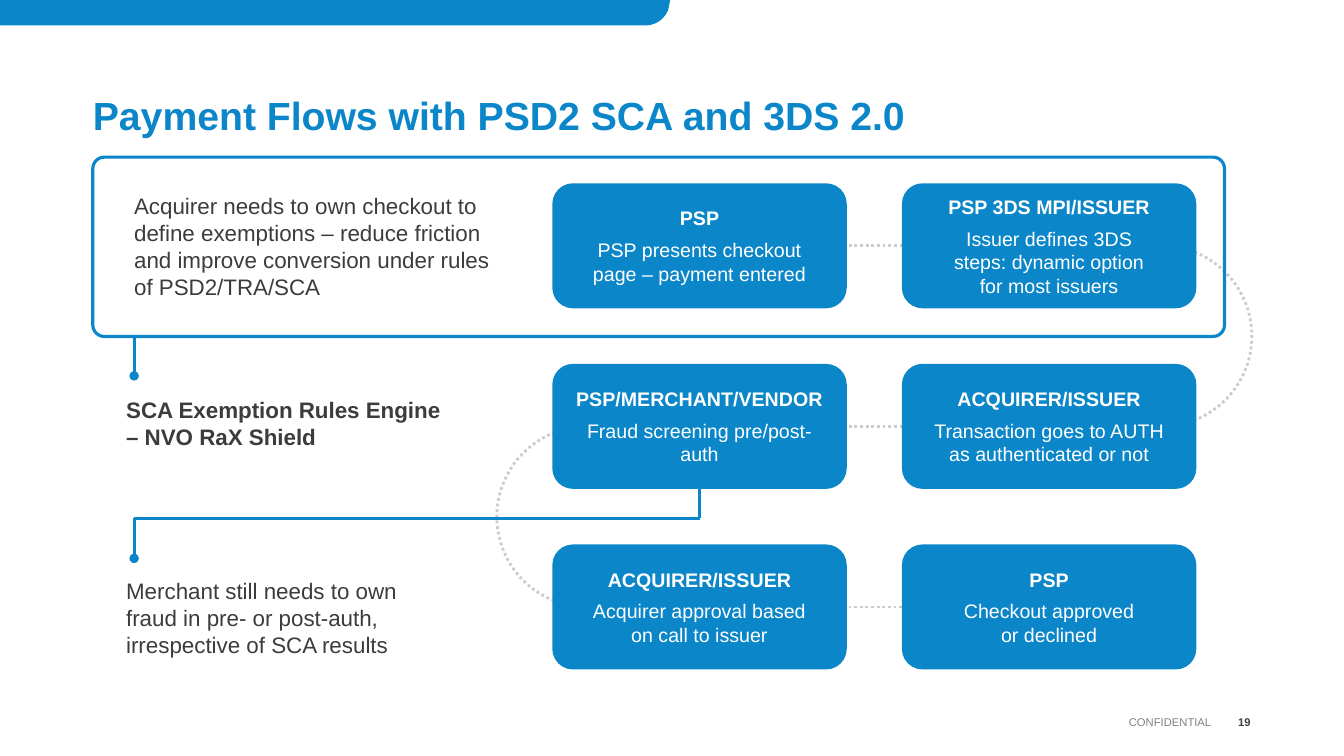
from dataclasses import dataclass

from lxml import etree
from pptx import Presentation
from pptx import util as u
from pptx.dml.color import RGBColor
from pptx.enum import dml, shapes, text
from pptx.oxml.ns import qn


@dataclass
class Theme:
    font: str = "Arial"
    blue: str = "0A86C9"
    ink: str = "3C3C3C"
    dots: str = "CCCCCC"
    white: str = "FFFFFF"
    page: str = "404040"
    note: str = "808080"
    head: int = 28
    body: int = 16
    card: int = 14
    foot: int = 8
    rule: float = 2.25
    dot: float = 2


class Deck:
    def __init__(self, theme):
        self.theme = theme
        self.file = Presentation()
        self.file.slide_width = u.Cm(33.87)
        self.file.slide_height = u.Cm(19.05)
        self.slide = self.file.slides.add_slide(self.file.slide_layouts[5])
        self.items = self.slide.shapes

    def style(self, para, size, color, bold=False, align=text.PP_ALIGN.LEFT):
        para.alignment = align
        for run in para.runs:
            run.font.name = self.theme.font
            run.font.size = u.Pt(size)
            run.font.bold = bold
            run.font.color.rgb = RGBColor.from_string(color)

    def frame(self, item, words, anchor, pad=0):
        box = item.text_frame
        box.word_wrap = True
        box.auto_size = text.MSO_AUTO_SIZE.NONE
        box.vertical_anchor = anchor
        box.margin_left = box.margin_right = u.Cm(pad)
        box.margin_top = box.margin_bottom = u.Cm(pad)
        box.text = words
        return box.paragraphs

    def title(self, words, *area):
        item = self.items.title
        item.left, item.top, item.width, item.height = map(u.Cm, area)
        para = self.frame(item, words, text.MSO_ANCHOR.BOTTOM)[0]
        para.line_spacing = 0.9
        self.style(para, self.theme.head, self.theme.blue, True)

    def label(self, words, area, size, color, bold=False,
              align=text.PP_ALIGN.LEFT, anchor=text.MSO_ANCHOR.TOP):
        item = self.items.add_textbox(*map(u.Cm, area))
        para = self.frame(item, words, anchor)[0]
        self.style(para, size, color, bold, align)

    def stroke(self, line, dotted):
        line.color.rgb = RGBColor.from_string(
            self.theme.dots if dotted else self.theme.blue)
        line.width = u.Pt(self.theme.dot if dotted else self.theme.rule)
        if dotted:
            line.dash_style = dml.MSO_LINE.ROUND_DOT

    def solid(self, item):
        item.shadow.inherit = False
        item.fill.solid()
        item.fill.fore_color.rgb = RGBColor.from_string(self.theme.blue)
        item.line.fill.background()

    def shape(self, kind, area, *bends):
        item = self.items.add_shape(kind, *map(u.Cm, area))
        item.shadow.inherit = False
        for spot, bend in enumerate(bends):
            item.adjustments[spot] = bend
        return item

    def outline(self, kind, area, *bends, dotted=False, turn=0):
        item = self.shape(kind, area, *bends)
        item.fill.background()
        item.rotation = turn
        self.stroke(item.line, dotted)

    def line(self, *ends, dotted=False, knob=False):
        wire = self.items.add_connector(
            shapes.MSO_CONNECTOR.STRAIGHT, *map(u.Cm, ends))
        self.stroke(wire.line, dotted)
        if knob:
            stem = wire._element.spPr.find(qn("a:ln"))
            etree.SubElement(stem, qn("a:tailEnd"), type="oval")
        etree.SubElement(wire._element.spPr, qn("a:effectLst"))

    def card(self, words, area, pad):
        item = self.shape(shapes.MSO_SHAPE.ROUNDED_RECTANGLE, area, 0.165)
        self.solid(item)
        paras = self.frame(item, words, text.MSO_ANCHOR.MIDDLE, pad)
        for rank, para in enumerate(paras):
            para.space_after = u.Pt(6)
            self.style(para, self.theme.card, self.theme.white,
                       rank == 0, text.PP_ALIGN.CENTER)

    def banner(self, wide, high):
        bend = [(wide - 0.05, 0.25), (wide - 0.13, 0.46),
                (wide - 0.35, high), (wide - 0.61, high)]
        curve = []
        for step in range(11):
            t = step / 10
            rates = ((1 - t) ** 3, 3 * t * (1 - t) ** 2,
                     3 * t * t * (1 - t), t ** 3)
            curve.append(tuple(
                u.Cm(sum(r * p[axis] for r, p in zip(rates, bend)))
                for axis in (0, 1)))
        pen = self.items.build_freeform(0, 0)
        pen.add_line_segments([(u.Cm(wide), 0), *curve, (0, u.Cm(high))])
        self.solid(pen.convert_to_shape())


def main():
    theme = Theme()
    deck = Deck(theme)
    cols, rows = (13.92, 22.73), (4.62, 9.17, 13.72)
    wide, high, step = 7.42, 3.15, 4.55
    mids = [top + high / 2 for top in rows]
    stem, turn = 3.38, 13.06
    drop = cols[0] + wide / 2
    arc = shapes.MSO_SHAPE.ARC

    deck.banner(16.89, 0.64)
    deck.title("Payment Flows with PSD2 SCA and 3DS 2.0",
               2.34, 2.01, 29.21, 1.5)
    deck.outline(arc, (27, mids[0], step, step), 162, 53.74, dotted=True)
    deck.line(stem, 8.46, stem, 9.47, knob=True)
    deck.outline(shapes.MSO_SHAPE.ROUNDED_RECTANGLE,
                 (2.34, 3.96, 28.52, 4.52), 0.064)
    deck.outline(arc, (12.52, mids[1], step, step), 162, 53.74,
                 dotted=True, turn=180)
    for mid, left, right in zip(mids, (16.28, 16.28, 14), (28.98, 29.39, 29.82)):
        deck.line(left, mid, right, mid, dotted=True)

    cards = [
        ["PSP\nPSP presents checkout\vpage – payment entered",
         "PSP 3DS MPI/ISSUER\nIssuer defines 3DS\vsteps: dynamic option\v"
         "for most issuers"],
        ["PSP/MERCHANT/VENDOR\nFraud screening pre/post-auth",
         "ACQUIRER/ISSUER\nTransaction goes to AUTH\vas authenticated or not"],
        ["ACQUIRER/ISSUER\nAcquirer approval based\von call to issuer",
         "PSP\nCheckout approved\vor declined"],
    ]
    for top, pair in zip(rows, cards):
        for left, words in zip(cols, pair):
            pad = 0.13 if words.count("\v") > 1 else 0.25
            deck.card(words, (left, top, wide, high), pad)

    deck.line(drop, rows[1] + high, drop, turn)
    deck.line(drop, turn, stem, turn)
    deck.line(stem, turn, stem, 14.07, knob=True)

    deck.label("Acquirer needs to own checkout to define exemptions – reduce "
               "friction and improve conversion under rules of PSD2/TRA/SCA",
               (stem, 4.85, 9.47, 2.74), theme.body, theme.ink)
    deck.label("SCA Exemption Rules Engine – NVO RaX Shield",
               (3.18, 9.98, 8.08, 1.37), theme.body, theme.ink, True)
    deck.label("Merchant still needs to own fraud in pre- or post-auth, "
               "irrespective of SCA results",
               (3.18, 14.55, 8.08, 2.06), theme.body, theme.ink)
    for words, left, span, color, bold in (
            ("CONFIDENTIAL", 12.14, 18.39, theme.note, False),
            ("19", 30.53, 0.99, theme.page, True)):
        deck.label(words, (left, 17.93, span, 0.51), theme.foot, color, bold,
                   text.PP_ALIGN.RIGHT, text.MSO_ANCHOR.MIDDLE)
    deck.file.save("out.pptx")


if __name__ == "__main__":
    main()
